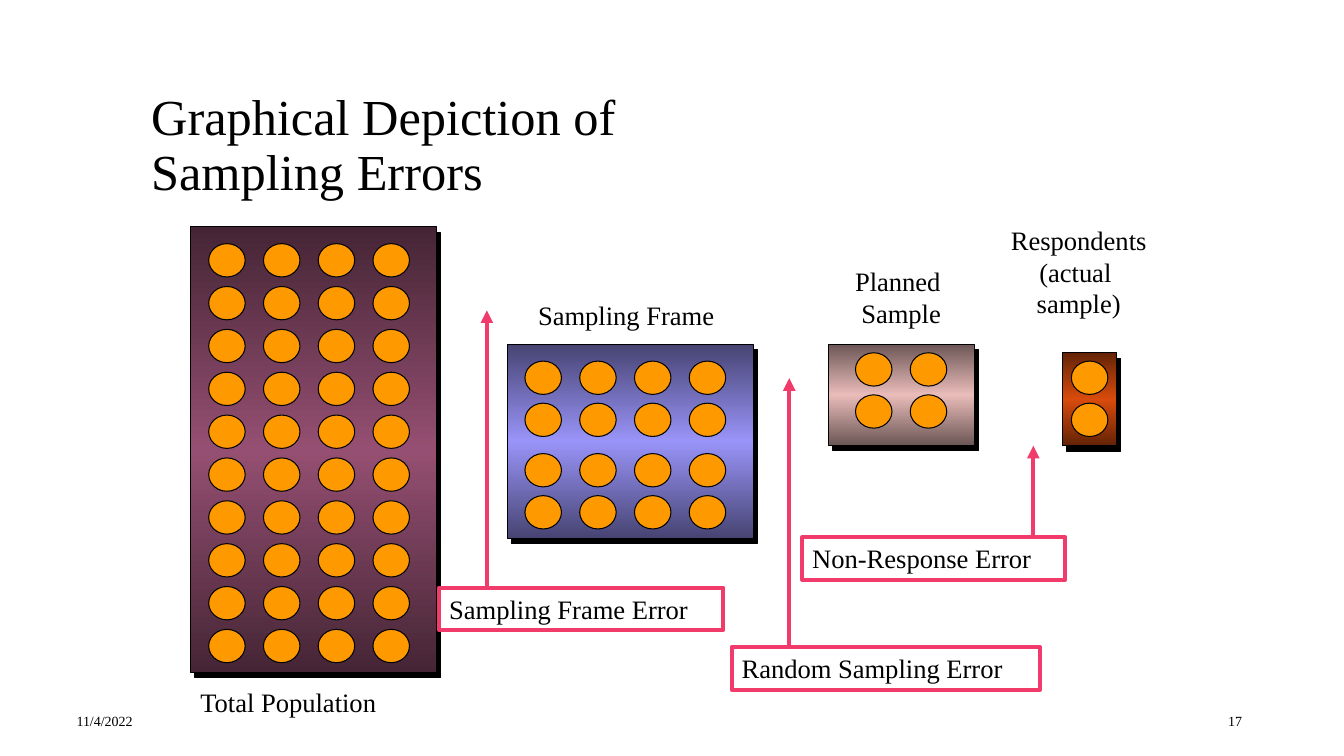
from lxml import etree
from pptx import Presentation
from pptx.dml.color import RGBColor
from pptx.enum.shapes import MSO_CONNECTOR, MSO_SHAPE
from pptx.enum.text import MSO_ANCHOR, PP_ALIGN
from pptx.oxml.ns import qn
from pptx.util import Cm, Pt

BLACK = RGBColor(0x00, 0x00, 0x00)
ORANGE = RGBColor(0xFF, 0x99, 0x00)
PINK = RGBColor(0xF1, 0x3B, 0x6B)
PLUM_DARK, PLUM = RGBColor(0x45, 0x25, 0x35), RGBColor(0x95, 0x4F, 0x72)
BLUE_DARK, BLUE = RGBColor(0x47, 0x44, 0x73), RGBColor(0x99, 0x94, 0xF8)
ROSE_DARK, ROSE = RGBColor(0x6C, 0x57, 0x56), RGBColor(0xE9, 0xBC, 0xB9)
RUST_DARK, RUST = RGBColor(0x64, 0x23, 0x06), RGBColor(0xD8, 0x4B, 0x0C)


class ErrorDiagram:
    FONT = "Times New Roman"
    LABEL_SIZE = 19
    LABEL_HEIGHT = 1.07
    DOT_WIDTH, DOT_HEIGHT = 0.92, 0.84
    COLUMN_STEP = 1.38

    def __init__(self, slide):
        self.slide = slide

    def set_text(self, shape, lines, size, align, anchor=MSO_ANCHOR.TOP, spacing=None):
        frame = shape.text_frame
        frame.word_wrap = True
        frame.vertical_anchor = anchor
        frame.text = lines
        for paragraph in frame.paragraphs:
            paragraph.alignment = align
            paragraph.line_spacing = spacing
            paragraph.font.name = self.FONT
            paragraph.font.size = Pt(size)
            paragraph.font.color.rgb = BLACK

    def text(self, lines, left, top, width, height=LABEL_HEIGHT, size=LABEL_SIZE,
             align=PP_ALIGN.LEFT, **layout):
        box = self.slide.shapes.add_textbox(Cm(left), Cm(top), Cm(width), Cm(height))
        self.set_text(box, lines, size, align, **layout)

    def outlined(self, shapes, kind, left, top, width, height, line_color, line_width):
        shape = shapes.add_shape(kind, Cm(left), Cm(top), Cm(width), Cm(height))
        shape.shadow.inherit = False
        shape.line.color.rgb = line_color
        shape.line.width = Pt(line_width)
        return shape

    def panel(self, left, top, width, height, edge, middle, dot_left, columns, dot_tops):
        """Gradient panel with a hard shadow and a grid of dots."""
        shapes = self.slide.shapes.add_group_shape().shapes
        panel = self.outlined(shapes, MSO_SHAPE.RECTANGLE, left, top, width, height,
                              BLACK, 0.75)
        panel.fill.gradient()
        panel.fill.gradient_angle = 270
        properties = panel._element.spPr
        stops = properties.find(qn("a:gradFill")).find(qn("a:gsLst"))
        for stop in list(stops):
            stops.remove(stop)
        for position, color in ((0, edge), (50, middle), (100, edge)):
            stop = etree.SubElement(stops, qn("a:gs"), pos=str(position * 1000))
            etree.SubElement(stop, qn("a:srgbClr"), val=str(color))
        shadow = etree.SubElement(properties.find(qn("a:effectLst")), qn("a:outerShdw"),
                                  dist=str(Pt(5)), dir=str(53 * 60000), algn="ctr",
                                  rotWithShape="0")
        etree.SubElement(shadow, qn("a:srgbClr"), val=str(BLACK))
        for dot_top in dot_tops:
            for column in range(columns):
                dot = self.outlined(shapes, MSO_SHAPE.OVAL,
                                    dot_left + column * self.COLUMN_STEP, dot_top,
                                    self.DOT_WIDTH, self.DOT_HEIGHT, BLACK, 0.75)
                dot.fill.solid()
                dot.fill.fore_color.rgb = ORANGE

    def error(self, label, left, top, width, arrow_x, arrow_tip):
        """Framed label with an arrow rising from its top edge."""
        box = self.outlined(self.slide.shapes, MSO_SHAPE.RECTANGLE, left, top, width,
                            self.LABEL_HEIGHT, PINK, 3)
        box.fill.background()
        self.set_text(box, label, self.LABEL_SIZE, PP_ALIGN.LEFT)
        arrow = self.slide.shapes.add_connector(
            MSO_CONNECTOR.STRAIGHT, Cm(arrow_x), Cm(top), Cm(arrow_x), Cm(arrow_tip))
        arrow.line.color.rgb = PINK
        arrow.line.width = Pt(3)
        properties = arrow._element.spPr
        etree.SubElement(properties.find(qn("a:ln")), qn("a:tailEnd"), type="triangle")
        etree.SubElement(properties, qn("a:effectLst"))


def main():
    presentation = Presentation()
    presentation.slide_width, presentation.slide_height = Cm(33.87), Cm(19.05)
    diagram = ErrorDiagram(presentation.slides.add_slide(presentation.slide_layouts[6]))

    # Title and footer
    diagram.text("Graphical Depiction of \vSampling Errors", 3.56, 2.11, 24.82, 3.18,
                 size=36, anchor=MSO_ANCHOR.MIDDLE, spacing=0.9)
    diagram.text("11/4/2022", 1.68, 17.65, 8.28, 1.02, size=10, anchor=MSO_ANCHOR.MIDDLE)
    diagram.text("17", 23.27, 17.65, 8.28, 1.02, size=10, align=PP_ALIGN.RIGHT,
                 anchor=MSO_ANCHOR.MIDDLE)

    # Population, frame, sample and respondents
    population_tops = [6.14 + row * 1.08 for row in range(10)]
    diagram.panel(4.8, 5.72, 6.2, 11.22, PLUM_DARK, PLUM, 5.26, 4, population_tops)
    diagram.panel(12.78, 8.68, 6.2, 4.88, BLUE_DARK, BLUE, 13.23, 4,
                  (9.1, 10.16, 11.43, 12.49))
    diagram.panel(20.88, 8.68, 3.68, 2.54, ROSE_DARK, ROSE, 21.56, 2, (8.89, 9.95))
    diagram.panel(26.77, 8.89, 1.37, 2.34, RUST_DARK, RUST, 27, 1, (9.1, 10.16))

    # Panel labels
    diagram.text("Total Population", 4.8, 17.15, 5.41)
    diagram.text("Sampling Frame", 13.06, 7.42, 5.44, align=PP_ALIGN.CENTER)
    diagram.text("Planned \nSample", 21.16, 6.55, 3.1, 1.88, align=PP_ALIGN.CENTER)
    diagram.text("Respondents\n(actual \nsample)", 25.04, 5.51, 4.29, 2.69,
                 align=PP_ALIGN.CENTER)

    # Errors between the stages
    diagram.error("Sampling Frame Error", 11.07, 14.81, 7.16, 12.27, 7.82)
    diagram.error("Random Sampling Error", 18.44, 16.31, 7.77, 19.89, 9.53)
    diagram.error("Non-Response Error", 20.22, 13.54, 6.63, 26.04, 11.23)

    presentation.save("out.pptx")


if __name__ == "__main__":
    main()
